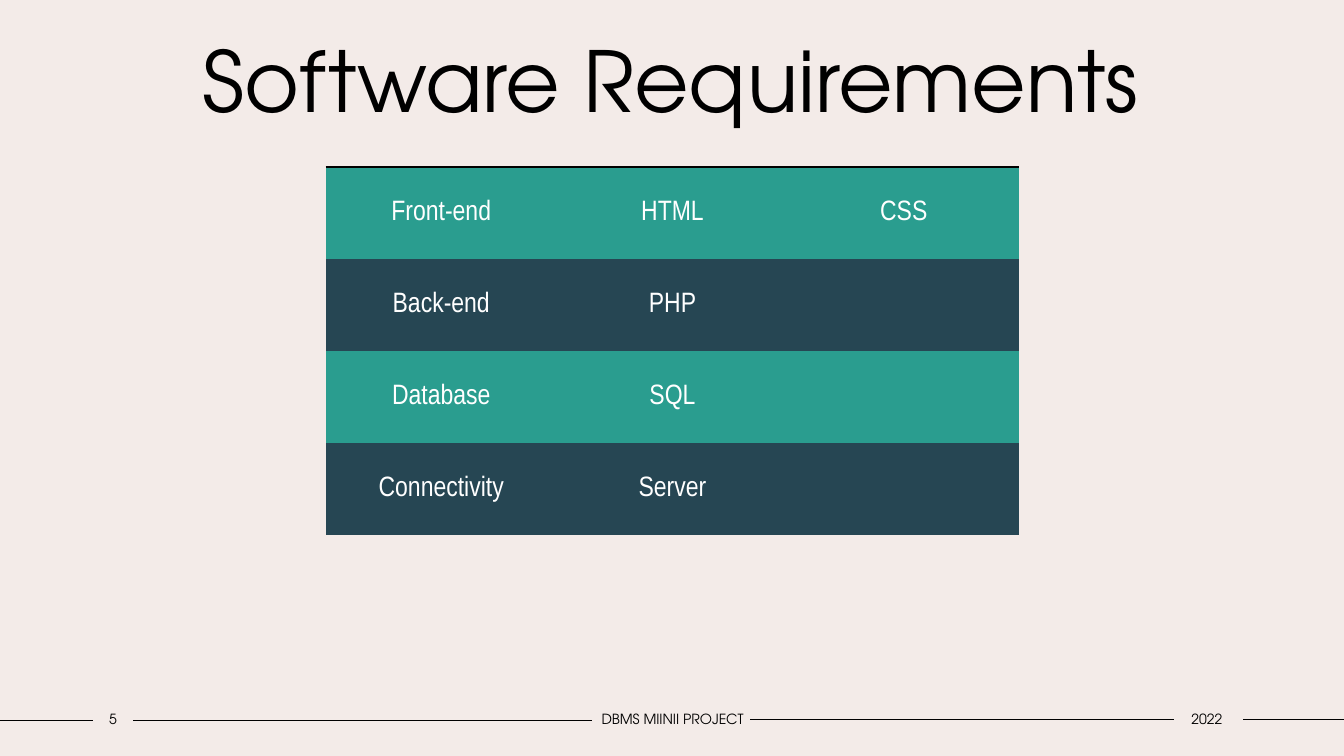
from lxml.etree import SubElement
from pptx import Presentation
from pptx.dml.color import RGBColor
from pptx.enum.shapes import MSO_CONNECTOR
from pptx.enum.text import MSO_ANCHOR, PP_ALIGN
from pptx.oxml.ns import qn
from pptx.util import Inches, Pt

# Content
TITLE = "Software Requirements"
REQUIREMENTS = [
    ("Front-end", "HTML", "CSS"),
    ("Back-end", "PHP", ""),
    ("Database", "SQL", ""),
    ("Connectivity", "Server", ""),
]
FOOTER = [  # text, left, width
    ("5", 0.92, 0.4),
    ("DBMS MIINII PROJECT", 5.87, 1.6),
    ("2022", 11.62, 0.7),
]
FOOTER_RULES = [  # left end, right end, height on slide
    (0, 0.92, 7.15),
    (1.32, 5.87, 7.15),
    (7.44, 11.64, 7.14),
    (12.33, 13.33, 7.14),
]

# Formats
BACKGROUND, BLACK, WHITE = "F3EBE8", "000000", "FFFFFF"
ROW_FILLS = ("2A9D8F", "264653")
TITLE_FONT = {"name": "TeX Gyre Adventor", "size": Pt(60)}
FOOTER_FONT = {"name": "TeX Gyre Adventor", "size": Pt(10)}
TABLE_FONT = {"name": "Arial Narrow", "size": Pt(20)}
FOOTER_FRAME = {"margin_left": 0, "margin_right": 0}
NO_STYLE = "{2D5ABB26-0587-4C30-8999-92F81FD0307C}"


def rgb(color):
    return RGBColor.from_string(color)


def set_all(obj, values):
    for name, value in values.items():
        setattr(obj, name, value)


def write(tf, text, font, color):
    p = tf.paragraphs[0]
    p.alignment = PP_ALIGN.CENTER
    r = p.add_run()
    r.text = text
    set_all(r.font, font)
    r.font.color.rgb = rgb(color)


def add_text(s, text, box, font, frame):
    tf = s.shapes.add_textbox(*map(Inches, box)).text_frame
    set_all(tf, {"word_wrap": True, "vertical_anchor": MSO_ANCHOR.MIDDLE, **frame})
    write(tf, text, font, BLACK)


def add_rule(s, x1, x2, y):
    sp = s.shapes.add_connector(MSO_CONNECTOR.STRAIGHT, *map(Inches, (x1, y, x2, y)))
    sp.line.color.rgb = rgb(BLACK)
    sp.line.width = Pt(1)
    SubElement(sp._element.spPr, qn("a:effectLst"))


def add_top_border(cell, color, width):
    ln = SubElement(cell._tc.get_or_add_tcPr(), qn("a:lnT"), w=str(Pt(width)))
    SubElement(SubElement(ln, qn("a:solidFill")), qn("a:srgbClr"), val=color)


def add_requirements(s, left, top, width, height):
    rows, cols = len(REQUIREMENTS), len(REQUIREMENTS[0])
    frame = s.shapes.add_table(rows, cols, *map(Inches, (left, top, width, height)))
    table = frame.table
    table._tbl.tblPr.find(qn("a:tableStyleId")).text = NO_STYLE
    set_all(table, {"first_row": False, "horz_banding": False})
    for i, row in enumerate(REQUIREMENTS):
        for j, text in enumerate(row):
            cell = table.cell(i, j)
            cell.vertical_anchor = MSO_ANCHOR.MIDDLE
            if i == 0:
                add_top_border(cell, BLACK, 1.5)
            cell.fill.solid()
            cell.fill.fore_color.rgb = rgb(ROW_FILLS[i % 2])
            if text:
                write(cell.text_frame, text, TABLE_FONT, WHITE)


def main():
    prs = Presentation()
    set_all(prs, {"slide_width": Inches(13.33), "slide_height": Inches(7.5)})
    s = prs.slides.add_slide(prs.slide_layouts[6])
    s.background.fill.solid()
    s.background.fill.fore_color.rgb = rgb(BACKGROUND)

    # Footer rules
    for rule in FOOTER_RULES:
        add_rule(s, *rule)

    # Title and table
    add_text(s, TITLE, (1.23, 0.23, 10.84, 1.11), TITLE_FONT, {})
    add_requirements(s, 3.23, 1.66, 6.88, 3.65)

    # Footer texts
    for text, left, width in FOOTER:
        add_text(s, text, (left, 7, width, 0.27), FOOTER_FONT, FOOTER_FRAME)

    prs.save("out.pptx")


if __name__ == "__main__":
    main()
